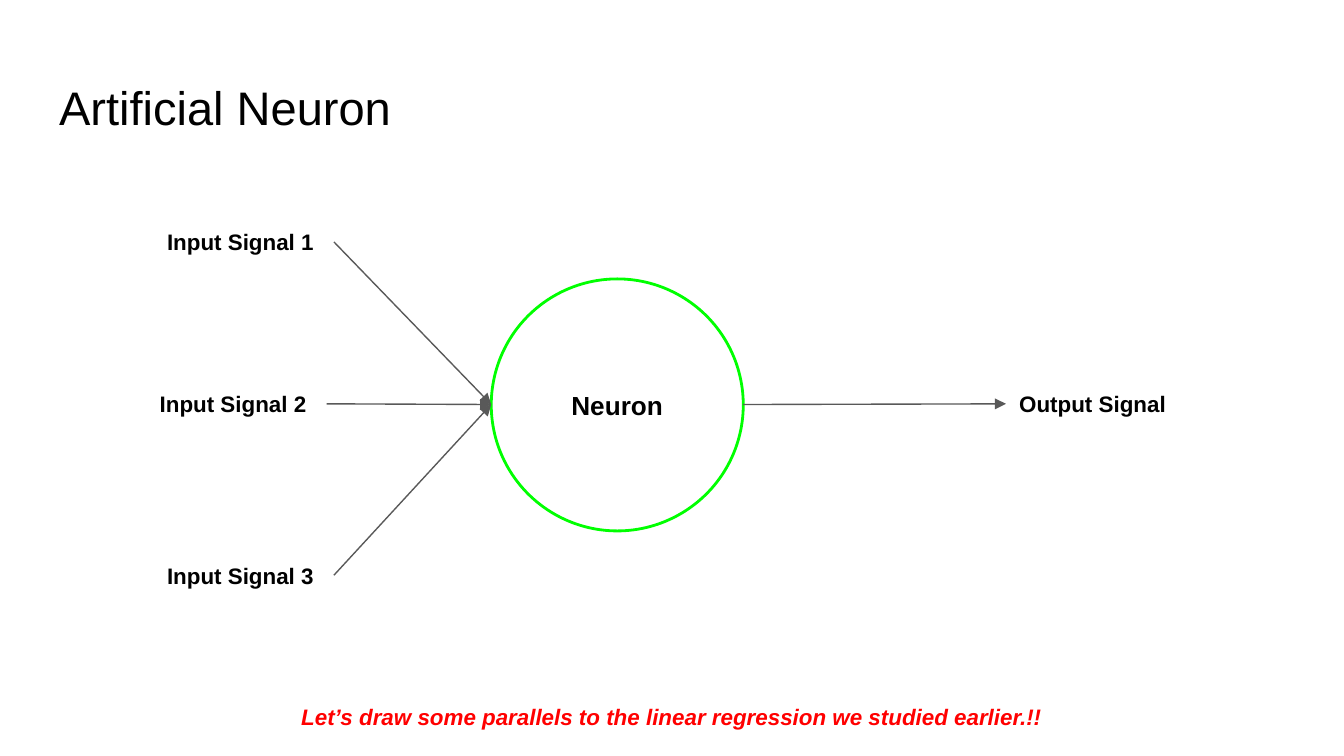
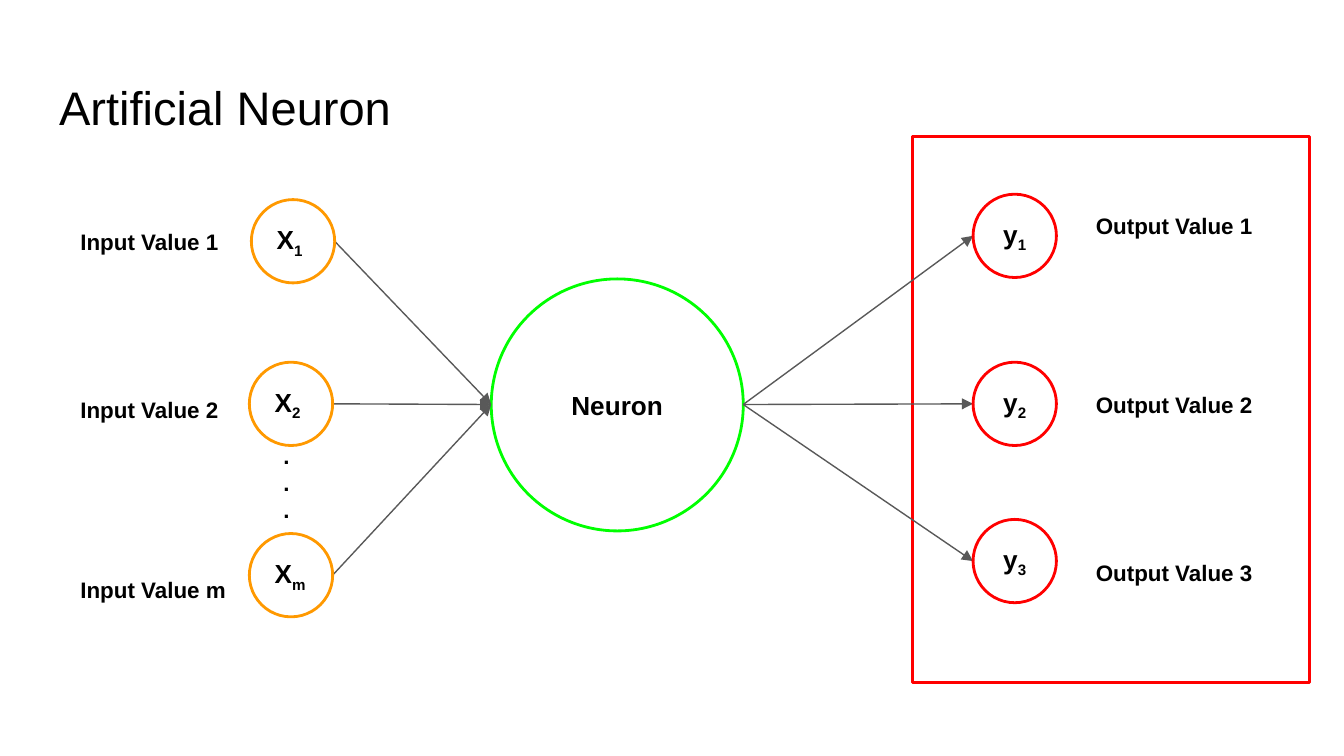
from dataclasses import dataclass

from lxml.etree import SubElement
from pptx import Presentation
from pptx.dml.color import RGBColor
from pptx.enum.shapes import MSO_CONNECTOR, MSO_SHAPE
from pptx.enum.text import MSO_ANCHOR, MSO_AUTO_SIZE, PP_ALIGN
from pptx.oxml.ns import qn
from pptx.util import Emu, Pt

# Shared look: 200 px to the inch
PX = 4572
SLIDE_WIDTH, SLIDE_HEIGHT = 2000, 1125
FONT = "Arial"
BLACK = RGBColor(0x00, 0x00, 0x00)
GREY = RGBColor(0x59, 0x59, 0x59)
GREEN = RGBColor(0x00, 0xFF, 0x00)
ORANGE = RGBColor(0xFF, 0x99, 0x00)
RED = RGBColor(0xFF, 0x00, 0x00)
INSET = 20
LABEL_HEIGHT = 80
NODE_SIZE = 124

Point = tuple[int, int]


def px(length: int) -> Emu:
    return Emu(length * PX)


@dataclass(frozen=True)
class Label:
    text: str
    left: int
    top: int
    width: int = 268
    height: int = LABEL_HEIGHT
    color: RGBColor = BLACK
    italic: bool = False
    align: PP_ALIGN = PP_ALIGN.LEFT

    @property
    def left_end(self) -> Point:
        return self.left, self.top + self.height // 2

    @property
    def right_end(self) -> Point:
        return self.left + self.width, self.top + self.height // 2


@dataclass(frozen=True)
class Node:
    text: str
    left: int
    top: int
    color: RGBColor
    subscript: str = ""
    size: int = NODE_SIZE
    align: PP_ALIGN = PP_ALIGN.CENTER

    @property
    def left_end(self) -> Point:
        return self.left, self.top + self.size // 2

    @property
    def right_end(self) -> Point:
        return self.left + self.size, self.top + self.size // 2


NEURON = Node("Neuron", 731, 415, GREEN, size=375)

# Slide 1: signals
INPUT_SIGNALS = [
    Label(f"Input Signal {number}", left, top)
    for number, (left, top) in enumerate([(229, 320), (218, 561), (229, 816)], 1)
]
OUTPUT_SIGNAL = Label("Output Signal", 1497, 561)
REGRESSION_HINT = Label(
    "Let’s draw some parallels to the linear regression we studied earlier.!!",
    256, 1027, 1488, color=RED, italic=True, align=PP_ALIGN.CENTER,
)

# Slide 2: values
INPUT_NODES = [
    Node("X", left, top, ORANGE, index, align=PP_ALIGN.LEFT)
    for index, left, top in [("1", 374, 297), ("2", 371, 539), ("m", 371, 794)]
]
OUTPUT_NODES = [
    Node("y", 1448, top, RED, index)
    for index, top in [("1", 289), ("2", 539), ("3", 773)]
]
VALUE_LABELS = [
    Label(f"Input Value {index}", 100, top)
    for index, top in [("1", 320), ("2", 570), ("m", 837)]
] + [
    Label(f"Output Value {index}", 1611, top, 320)
    for index, top in [("1", 296), ("2", 562), ("3", 812)]
]
MORE_INPUTS = Label(".\n.\n.", 402, 638, 58, 162)


def set_frame(text_frame, anchor: MSO_ANCHOR, auto_size: MSO_AUTO_SIZE) -> None:
    text_frame.word_wrap = True
    text_frame.auto_size = auto_size
    text_frame.vertical_anchor = anchor
    text_frame.margin_left = text_frame.margin_right = px(INSET)
    text_frame.margin_top = text_frame.margin_bottom = px(INSET)


def set_paragraph(paragraph, size: float, align: PP_ALIGN, color: RGBColor = BLACK,
                  bold: bool = True, italic: bool = False) -> None:
    paragraph.alignment = align
    font = paragraph.font
    font.name = FONT
    font.size = Pt(size)
    font.bold = bold
    font.italic = italic
    font.color.rgb = color


def add_title(slide, text: str) -> None:
    title = slide.shapes.title
    title.left, title.top, title.width, title.height = map(px, (68, 97, 1864, 126))
    title.text_frame.text = text
    set_frame(title.text_frame, MSO_ANCHOR.TOP, MSO_AUTO_SIZE.NONE)
    set_paragraph(title.text_frame.paragraphs[0], 25.2, PP_ALIGN.LEFT, bold=False)


def add_label(slide, label: Label) -> None:
    box = slide.shapes.add_textbox(
        *map(px, (label.left, label.top, label.width, label.height)))
    box.text_frame.text = label.text
    set_frame(box.text_frame, MSO_ANCHOR.TOP, MSO_AUTO_SIZE.SHAPE_TO_FIT_TEXT)
    for paragraph in box.text_frame.paragraphs:
        set_paragraph(paragraph, 12, label.align, label.color, italic=label.italic)


def add_outline(slide, kind: MSO_SHAPE, left: int, top: int, width: int,
                height: int, color: RGBColor):
    outline = slide.shapes.add_shape(kind, *map(px, (left, top, width, height)))
    outline.shadow.inherit = False
    outline.fill.background()
    outline.line.color.rgb = color
    outline.line.width = Pt(1.5)
    return outline


def add_node(slide, node: Node) -> None:
    circle = add_outline(slide, MSO_SHAPE.OVAL, node.left, node.top,
                         node.size, node.size, node.color)
    set_frame(circle.text_frame, MSO_ANCHOR.MIDDLE, MSO_AUTO_SIZE.NONE)
    paragraph = circle.text_frame.paragraphs[0]
    set_paragraph(paragraph, 14, node.align)
    paragraph.add_run().text = node.text
    if node.subscript:
        index = paragraph.add_run()
        index.text = node.subscript
        index.font._element.set("baseline", "-25000")


def add_arrow(slide, start: Point, end: Point) -> None:
    arrow = slide.shapes.add_connector(
        MSO_CONNECTOR.STRAIGHT, *map(px, (*start, *end)))
    arrow.line.color.rgb = GREY
    arrow.line.width = Pt(0.75)
    SubElement(arrow.line._get_or_add_ln(), qn("a:tailEnd"), type="triangle")
    SubElement(arrow._element.spPr, qn("a:effectLst"))


def add_neuron(slide, inputs: list, outputs: list) -> None:
    """Draw the title, the neuron and the arrows into and out of it."""
    add_title(slide, "Artificial Neuron")
    add_node(slide, NEURON)
    for source in inputs:
        add_arrow(slide, source.right_end, NEURON.left_end)
    for target in outputs:
        add_arrow(slide, NEURON.right_end, target.left_end)


def build_signals(slide) -> None:
    add_neuron(slide, INPUT_SIGNALS, [OUTPUT_SIGNAL])
    for label in [*INPUT_SIGNALS, OUTPUT_SIGNAL, REGRESSION_HINT]:
        add_label(slide, label)


def build_values(slide) -> None:
    # Frame around the outputs
    add_outline(slide, MSO_SHAPE.RECTANGLE, 1358, 203, 591, 813, RED)
    add_neuron(slide, INPUT_NODES, OUTPUT_NODES)
    for node in INPUT_NODES + OUTPUT_NODES:
        add_node(slide, node)
    for label in [*VALUE_LABELS, MORE_INPUTS]:
        add_label(slide, label)


def main() -> None:
    deck = Presentation()
    deck.slide_width, deck.slide_height = px(SLIDE_WIDTH), px(SLIDE_HEIGHT)
    title_only = deck.slide_layouts[5]
    for build in (build_signals, build_values):
        build(deck.slides.add_slide(title_only))
    deck.save("out.pptx")


if __name__ == "__main__":
    main()
